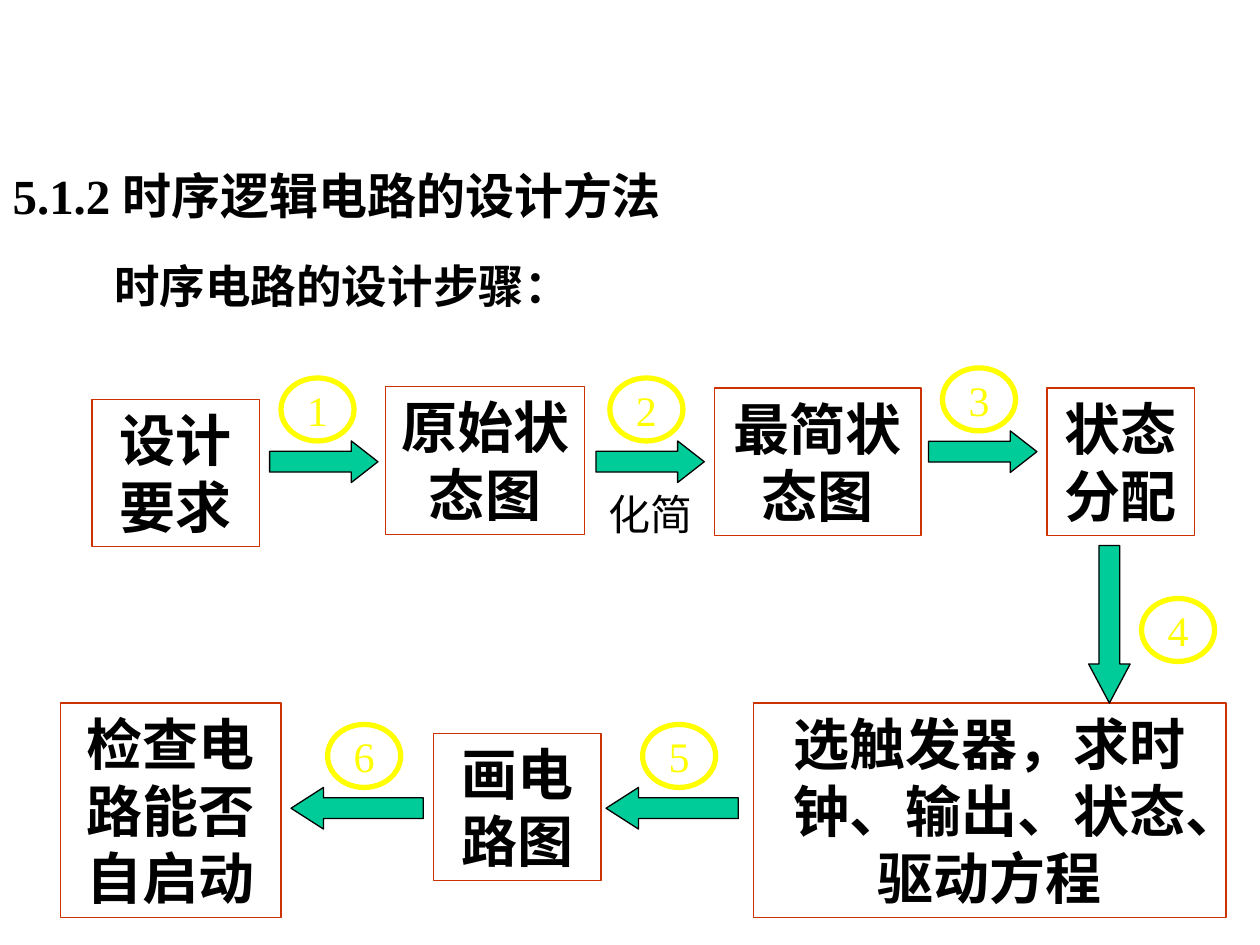
from dataclasses import dataclass

from pptx import Presentation
from pptx.dml.color import RGBColor
from pptx.enum.shapes import MSO_SHAPE
from pptx.enum.text import MSO_ANCHOR, MSO_AUTO_SIZE, PP_ALIGN
from pptx.util import Inches, Pt

RECT, OVAL = MSO_SHAPE.RECTANGLE, MSO_SHAPE.OVAL
RIGHT, LEFT, DOWN = MSO_SHAPE.RIGHT_ARROW, MSO_SHAPE.LEFT_ARROW, MSO_SHAPE.DOWN_ARROW
TOP, MIDDLE = MSO_ANCHOR.TOP, MSO_ANCHOR.MIDDLE
ALIGN_LEFT, ALIGN_CENTER = PP_ALIGN.LEFT, PP_ALIGN.CENTER
FIT_SHAPE, NO_FIT = MSO_AUTO_SIZE.SHAPE_TO_FIT_TEXT, MSO_AUTO_SIZE.NONE
TITLE_ONLY = 5


@dataclass(frozen=True)
class Theme:
    font: str = "Times New Roman"
    ink: RGBColor = RGBColor(0x00, 0x00, 0x00)
    frame: RGBColor = RGBColor(0xCC, 0x33, 0x00)
    arrow: RGBColor = RGBColor(0x00, 0xCC, 0x99)
    badge: RGBColor = RGBColor(0xFF, 0xFF, 0x00)
    title_size: int = 28
    lead_size: int = 26
    step_size: int = 32
    label_size: int = 24
    thin: float = 0.75
    thick: float = 3


THEME = Theme()

# Flow steps: text, left, top, width, height
STEPS = [
    ("设计要求", 0.73, 3.17, 1.33, 1.17),
    ("原始状态图", 3.06, 3.07, 1.58, 1.17),
    ("最简状态图", 5.67, 3.08, 1.64, 1.17),
    ("状态分配", 8.31, 3.08, 1.17, 1.17),
    ("选触发器，求时钟、输出、状态、驱动方程", 5.98, 5.58, 3.75, 1.7),
    ("画电路图", 3.44, 5.82, 1.33, 1.17),
    ("检查电路能否自启动", 0.48, 5.58, 1.75, 1.7),
]

# Arrow sizes and head proportions by direction
ARROW_FORMS = {
    RIGHT: (0.86, 0.33, 0.64),
    DOWN: (0.33, 1.25, 0.94),
    LEFT: (1.05, 0.33, 0.78),
}

# Transitions in order: direction, arrow left and top, badge left and top
TRANSITIONS = [
    (RIGHT, 2.14, 3.5, 2.23, 3),
    (RIGHT, 4.73, 3.5, 4.84, 3),
    (RIGHT, 7.37, 3.42, 7.48, 2.92),
    (DOWN, 8.64, 4.33, 9.06, 4.75),
    (LEFT, 4.81, 6.25, 5.1, 5.75),
    (LEFT, 2.31, 6.25, 2.6, 5.75),
]


def apply(target, formats):
    for name, value in formats.items():
        setattr(target, name, value)


def write(box, text, size, color=THEME.ink, bold=False, align=ALIGN_LEFT,
          anchor=TOP, wrap=True, fit=FIT_SHAPE, spacing=None):
    frame = box.text_frame
    apply(frame, {"word_wrap": wrap, "auto_size": fit, "vertical_anchor": anchor})
    para = frame.paragraphs[0]
    apply(para, {"alignment": align, "space_before": Pt(0), "line_spacing": spacing})
    span = para.add_run()
    span.text = text
    apply(span.font, {"name": THEME.font, "size": Pt(size), "bold": bold})
    span.font.color.rgb = color


def add_figure(page, kind, area, line, width, fill=None):
    figure = page.shapes.add_shape(kind, *map(Inches, area))
    figure.shadow.inherit = False
    if fill is None:
        figure.fill.background()
    else:
        figure.fill.solid()
        figure.fill.fore_color.rgb = fill
    figure.line.color.rgb = line
    figure.line.width = Pt(width)
    return figure


def add_title(page, text, left, top, width, height):
    title = page.shapes.title
    apply(title, {"left": Inches(left), "top": Inches(top),
                  "width": Inches(width), "height": Inches(height)})
    write(title, text, THEME.title_size, bold=True, spacing=1.2)


def add_label(page, text, area, size, bold=False):
    box = page.shapes.add_textbox(*map(Inches, area))
    write(box, text, size, bold=bold)


def add_step(page, text, *area):
    box = add_figure(page, RECT, area, THEME.frame, THEME.thin)
    write(box, text, THEME.step_size, bold=True, align=ALIGN_CENTER)


def add_arrow(page, direction, left, top):
    width, height, head = ARROW_FORMS[direction]
    arrow = add_figure(page, direction, (left, top, width, height),
                       THEME.ink, THEME.thin, THEME.arrow)
    arrow.adjustments[0] = 0.5
    arrow.adjustments[1] = head


def add_badge(page, number, left, top):
    badge = add_figure(page, OVAL, (left, top, 0.58, 0.5), THEME.badge, THEME.thick)
    write(badge, str(number), THEME.label_size, THEME.badge,
          align=ALIGN_CENTER, anchor=MIDDLE, wrap=False, fit=NO_FIT)


def main():
    deck = Presentation()
    apply(deck, {"slide_width": Inches(10), "slide_height": Inches(7.5)})
    page = deck.slides.add_slide(deck.slide_layouts[TITLE_ONLY])

    # Headings
    add_title(page, "5.1.2 时序逻辑电路的设计方法", 0, 1.17, 5.67, 0.66)
    add_label(page, "时序电路的设计步骤：", (0.81, 2, 6.14, 0.54), THEME.lead_size, bold=True)

    # Flow steps
    for step in STEPS:
        add_step(page, *step)

    # Numbered transitions
    for number, (direction, left, top, badge_left, badge_top) in enumerate(TRANSITIONS, 1):
        add_arrow(page, direction, left, top)
        add_badge(page, number, badge_left, badge_top)
    add_label(page, "化简", (4.73, 3.83, 0.92, 0.5), THEME.label_size)

    deck.save("out.pptx")


if __name__ == "__main__":
    main()
